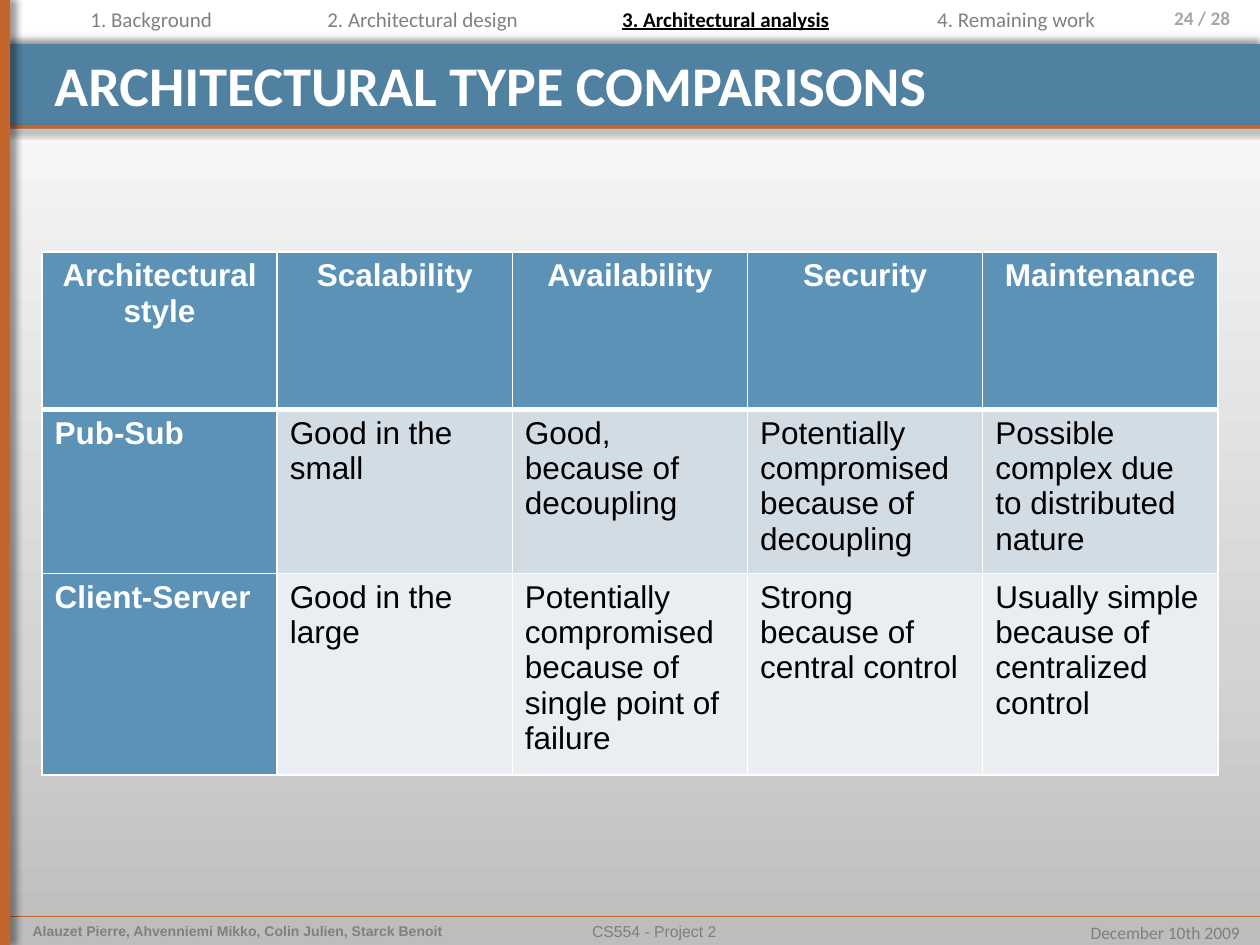
from pptx import Presentation
from pptx.dml.color import RGBColor
from pptx.enum import shapes, text
from pptx.oxml import parse_xml
from pptx.oxml.ns import nsdecls
from pptx.util import Pt

COLORS = {
    "band": "5181A0", "accent": "C4652D", "head": "5C92B5",
    "row_dark": "D2DCE5", "row_light": "EAEEF3",
    "white": "FFFFFF", "black": "000000",
    "nav": "808080", "footer": "7F7F7F", "page": "A6A6A6",
    "bg_low": "BDBDBD", "bg_mid": "D3D3D3",
}
LEFT, CENTER, RIGHT = text.PP_ALIGN.LEFT, text.PP_ALIGN.CENTER, text.PP_ALIGN.RIGHT

NAV = [
    (44.6, 85, "1. Background"),
    (180, 125.3, "2. Architectural design"),
    (348.5, 134.6, "3. Architectural analysis"),
    (528.5, 105.8, "4. Remaining work"),
]
ACTIVE = 2

COMPARISON = [
    ["Architectural style", "Scalability", "Availability", "Security", "Maintenance"],
    ["Pub-Sub", "Good in the small", "Good, because of decoupling",
     "Potentially compromised because of decoupling",
     "Possible complex due to distributed nature"],
    ["Client-Server", "Good in the large",
     "Potentially compromised because of single point of failure",
     "Strong because of central control",
     "Usually simple because of centralized control"],
]
ROW_HEIGHTS = [90, 93.6, 115.2]


def rgb(name):
    return RGBColor.from_string(COLORS[name])


def write(tf, words, size=12, font="Calibri", color="black", bold=False,
          underline=False, align=LEFT):
    p = tf.paragraphs[0]
    p.alignment = align
    r = p.add_run()
    r.text = words
    f = r.font
    f.size, f.name, f.bold, f.underline = Pt(size), font, bold, underline
    f.color.rgb = rgb(color)


def add_label(s, box, words, wrap=True, right_inset=7.2, **fmt):
    tf = s.shapes.add_textbox(*map(Pt, box)).text_frame
    tf.word_wrap = wrap
    tf.margin_right = Pt(right_inset)
    write(tf, words, **fmt)


def add_shadow(sp, angle):
    """Soft black shadow, angle in degrees clockwise from the right."""
    sp._element.spPr.append(parse_xml(
        f'<a:effectLst {nsdecls("a")}><a:outerShdw blurRad="{Pt(4)}" dist="{Pt(3)}" '
        f'dir="{angle * 60000}" algn="ctr" rotWithShape="0"><a:srgbClr val="{COLORS["black"]}">'
        '<a:alpha val="40000"/></a:srgbClr></a:outerShdw></a:effectLst>'))


def add_bar(s, box, color, angle):
    sp = s.shapes.add_shape(shapes.MSO_SHAPE.RECTANGLE, *map(Pt, box))
    sp.fill.solid()
    sp.fill.fore_color.rgb = rgb(color)
    sp.line.fill.background()
    add_shadow(sp, angle)


def set_background(s):
    """Vertical gradient, grey at the bottom to white at the top."""
    stops = "".join(
        f'<a:gs pos="{pos * 1000}"><a:srgbClr val="{COLORS[name]}"/></a:gs>'
        for pos, name in [(0, "bg_low"), (30, "bg_mid"), (100, "white")])
    s._element.cSld.insert(0, parse_xml(
        f'<p:bg {nsdecls("p", "a")}><p:bgPr><a:gradFill rotWithShape="1"><a:gsLst>{stops}'
        f'</a:gsLst><a:lin ang="{270 * 60000}" scaled="0"/></a:gradFill>'
        '<a:effectLst/></p:bgPr></p:bg>'))


def add_title_band(s, x, y, w, h):
    add_bar(s, (x, y, w, h), "band", 270)
    add_bar(s, (x, y + h - 2, w, 2.2), "accent", 45)
    add_label(s, (x + 24, y, w - 52, h - 6), "ARCHITECTURAL TYPE COMPARISONS",
              size=32, color="white", bold=True)


def add_navigation(s, x, y, w, h):
    for i, (left, width, words) in enumerate(NAV):
        active = i == ACTIVE
        add_label(s, (x + left, y, width, h), words, wrap=False,
                  color="black" if active else "nav", bold=active, underline=active)
    add_label(s, (x + w - 84, y, 84, h), "24 / 28", right_inset=17,
              size=11, color="page", bold=True, align=RIGHT)


def add_footer(s, x, y, w, h):
    line = s.shapes.add_connector(shapes.MSO_CONNECTOR.STRAIGHT,
                                  Pt(x), Pt(y), Pt(x + w), Pt(y))
    line.line.color.rgb = rgb("accent")
    line.line.width = Pt(0.25)
    add_shadow(line, 45)
    add_label(s, (x + 5.7, y, 264, h),
              "Alauzet Pierre, Ahvenniemi Mikko, Colin Julien, Starck Benoit",
              size=8, font="Arial", color="nav", bold=True)
    add_label(s, (x + 146, y, 444, h), "CS554 - Project 2",
              size=9, font="Arial", color="footer", align=CENTER)
    add_label(s, (x + w - 106, y, 101.5, h), "December 10th 2009", wrap=False,
              size=10, color="footer", align=RIGHT)


def add_borders(cell, bottom):
    tc_pr = cell._tc.get_or_add_tcPr()
    for side, width in [("L", 1), ("R", 1), ("T", 1), ("B", bottom)]:
        tc_pr.append(parse_xml(
            f'<a:ln{side} {nsdecls("a")} w="{Pt(width)}"><a:solidFill>'
            f'<a:srgbClr val="{COLORS["white"]}"/></a:solidFill></a:ln{side}>'))


def add_comparison(s, x, y, w, h):
    rows, cols = len(COMPARISON), len(COMPARISON[0])
    table = s.shapes.add_table(rows, cols, Pt(x), Pt(y), Pt(w), Pt(h)).table
    table.horz_banding = False
    for col in table.columns:
        col.width = Pt(w / cols)
    for i, (row, height) in enumerate(zip(COMPARISON, ROW_HEIGHTS)):
        table.rows[i].height = Pt(height)
        for j, words in enumerate(row):
            cell = table.cell(i, j)
            heading = i == 0 or j == 0
            # The rule under the header row is shared with the row below
            add_borders(cell, 3 if i == 0 else 1)
            if i == 1:
                cell._tc.tcPr[2].set("w", str(Pt(3)))
            cell.fill.solid()
            cell.fill.fore_color.rgb = rgb(
                "head" if heading else "row_dark" if i == 1 else "row_light")
            write(cell.text_frame, words, size=18, font="Arial", bold=heading,
                  color="white" if heading else "black",
                  align=CENTER if i == 0 else LEFT)


def main():
    prs = Presentation()
    prs.slide_width, prs.slide_height = Pt(720), Pt(540)
    s = prs.slides.add_slide(prs.slide_layouts[6])
    set_background(s)
    add_title_band(s, 0, 25.2, 720, 48.2)
    add_footer(s, 5.8, 523.4, 714.2, 16.6)
    add_bar(s, (0, 0, 5.8, 540), "accent", 0)
    add_navigation(s, 0, 0, 720, 21.6)
    add_comparison(s, 24, 144, 672, sum(ROW_HEIGHTS))
    prs.save("out.pptx")


if __name__ == "__main__":
    main()
